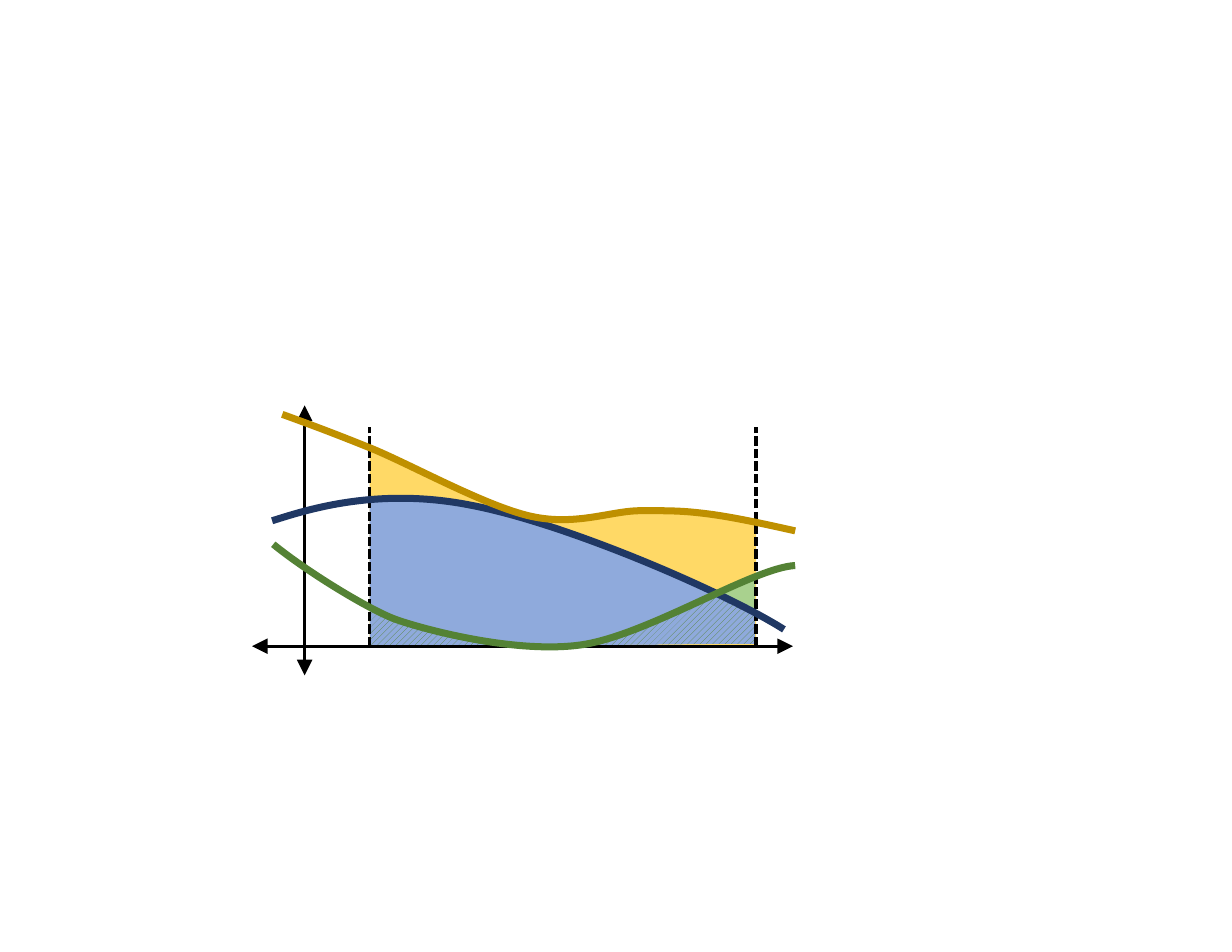
import dataclasses
import itertools
from typing import Optional

import lxml.etree
import pptx
import pptx.dml.color
import pptx.dml.line
import pptx.enum.dml
import pptx.enum.shapes
import pptx.oxml.ns
import pptx.util
from pptx.util import Inches

RGBColor = pptx.dml.color.RGBColor
Point = tuple[float, float]
Step = tuple[Point, ...]  # one point: straight; three points: cubic Bézier
Path = list[Step]  # the first step holds the starting point

BLACK = RGBColor(0x00, 0x00, 0x00)
GOLD = RGBColor(0xBF, 0x90, 0x00)
NAVY = RGBColor(0x20, 0x38, 0x64)
GREEN = RGBColor(0x54, 0x82, 0x35)
LIGHT_GOLD = RGBColor(0xFF, 0xD9, 0x66)
LIGHT_BLUE = RGBColor(0x8F, 0xAA, 0xDC)
LIGHT_GREEN = RGBColor(0xA9, 0xD1, 0x8E)

BOUND_SAMPLES = 50
AXIS_Y = 5.77
LOWER_BOUND, UPPER_BOUND = 3.3, 6.75

AXIS_FORMAT = {"width": pptx.util.Pt(2)}
BOUND_FORMAT = {
    "width": pptx.util.Pt(2),
    "dash_style": pptx.enum.dml.MSO_LINE.SQUARE_DOT,
}
CURVE_FORMAT = {"width": pptx.util.Pt(4.5)}
ARROW_FORMAT = {"type": "triangle", "w": "lg", "len": "lg"}


@dataclasses.dataclass
class Region:
    outline: Path
    color: RGBColor
    hatch: Optional[RGBColor] = None


@dataclasses.dataclass
class Curve:
    course: Path
    color: RGBColor


@dataclasses.dataclass
class Guide:
    start: Point
    end: Point
    line_format: dict
    arrows: bool


def straight(*points: Point) -> Path:
    return [(point,) for point in points]


def reverse(path: Path) -> Path:
    backward = [(path[-1][-1],)]
    for before, step in reversed(list(itertools.pairwise(path))):
        backward.append((*reversed(step[:-1]), before[-1]))
    return backward


def find_extent(path: Path) -> tuple[Point, Point]:
    """Top left and bottom right corners of the drawn path."""
    points = [step[-1] for step in path]
    for before, step in itertools.pairwise(path):
        if len(step) == 3:
            anchors = (before[-1], *step)
            for i in range(1, BOUND_SAMPLES):
                t = i / BOUND_SAMPLES
                weights = ((1 - t) ** 3, 3 * t * (1 - t) ** 2, 3 * t * t * (1 - t), t ** 3)
                points.append(tuple(
                    sum(w * anchor[axis] for w, anchor in zip(weights, anchors))
                    for axis in (0, 1)
                ))
    xs, ys = zip(*points)
    return (min(xs), min(ys)), (max(xs), max(ys))


def add_xml(parent, tag: str, **attributes: str):
    return lxml.etree.SubElement(parent, pptx.oxml.ns.qn(tag), attributes)


def format_line(line: pptx.dml.line.LineFormat, color: RGBColor, line_format: dict) -> None:
    line.color.rgb = color
    for name, value in line_format.items():
        setattr(line, name, value)


def draw_path(shapes, path: Path, close: bool):
    (left, top), (right, bottom) = find_extent(path)
    builder = shapes.build_freeform(Inches(left), Inches(top), scale=1.0)
    builder.add_line_segments([(Inches(right), Inches(bottom))], close=False)
    shape = builder.convert_to_shape()
    shape.shadow.inherit = False

    # The builder only knows straight segments, so the steps are written here
    path_xml = shape._element.find(".//" + pptx.oxml.ns.qn("a:path"))
    for segment in list(path_xml):
        path_xml.remove(segment)
    for index, step in enumerate(path):
        tag = "a:moveTo" if index == 0 else "a:lnTo" if len(step) == 1 else "a:cubicBezTo"
        segment = add_xml(path_xml, tag)
        for x, y in step:
            add_xml(segment, "a:pt", x=str(Inches(x - left)), y=str(Inches(y - top)))
    if close:
        add_xml(path_xml, "a:close")
    return shape


def draw_region(shapes, region: Region) -> None:
    shape = draw_path(shapes, region.outline, close=True)
    shape.line.fill.background()
    fill = shape.fill
    if region.hatch is None:
        fill.solid()
        fill.fore_color.rgb = region.color
    else:
        fill.patterned()
        fill.pattern = pptx.enum.dml.MSO_PATTERN.WIDE_UPWARD_DIAGONAL
        fill.fore_color.rgb = region.hatch
        fill.back_color.rgb = region.color


def draw_curve(shapes, curve: Curve) -> None:
    shape = draw_path(shapes, curve.course, close=False)
    shape.fill.background()
    format_line(shape.line, curve.color, CURVE_FORMAT)


def draw_guide(shapes, guide: Guide) -> None:
    connector = shapes.add_connector(
        pptx.enum.shapes.MSO_CONNECTOR.STRAIGHT,
        *map(Inches, guide.start + guide.end),
    )
    format_line(connector.line, BLACK, guide.line_format)
    if guide.arrows:
        for end in ("a:headEnd", "a:tailEnd"):
            add_xml(connector.line._get_or_add_ln(), end, **ARROW_FORMAT)
    add_xml(connector._element.spPr, "a:effectLst")


# Edges shared by several outlines
crossing = (6.38, 5.31)
gold_middle = [
    ((3.33, 4.01),),
    ((3.69, 4.16), (4.34, 4.52), (4.74, 4.61)),
    ((5.14, 4.7), (5.46, 4.56), (5.72, 4.56)),
    ((5.99, 4.56), (6.1, 4.56), (6.33, 4.59)),
]
green_left = [
    ((3.3, 5.44),),
    ((3.34, 5.46),),
    ((3.4, 5.48), (3.45, 5.5), (3.51, 5.52)),
    ((3.79, 5.61), (4.13, 5.71), (4.49, 5.75)),
    ((4.64, 5.76),),
]
green_right = [
    ((5.02, 5.76),),
    ((5.16, 5.75),),
    ((5.48, 5.7), (5.94, 5.5), (6.34, 5.33)),
    (crossing,),
]
blue_top = [
    ((3.3, 4.47),),
    ((3.39, 4.46),),
    ((3.47, 4.46), (3.56, 4.45), (3.65, 4.45)),
    ((3.82, 4.46), (4.01, 4.47), (4.2, 4.52)),
    ((4.69, 4.62), (5.52, 4.93), (6.18, 5.22)),
    (crossing,),
]
blue_tail = straight((6.45, 5.34), (6.74, 5.49))

regions = [
    # Under the gold curve
    Region(straight((LOWER_BOUND, 4)) + gold_middle + [((6.45, 4.61), (6.57, 4.63), (6.7, 4.66))]
           + straight((UPPER_BOUND, 4.67), (UPPER_BOUND, AXIS_Y), (LOWER_BOUND, AXIS_Y)),
           LIGHT_GOLD),
    # Under both the blue and green curves
    Region(green_right + blue_tail + straight((6.74, 5.75), (6.67, 5.75))
           + [((6.35, 5.75), (5.85, 5.76), (5.26, 5.76))], LIGHT_BLUE, GREEN),
    Region(green_left + straight((3.3, 5.76)), LIGHT_BLUE, GREEN),
    Region(straight((5.02, 5.76), (4.64, 5.76), (4.9, 5.77)), LIGHT_GOLD),
    # Between the blue and green curves
    Region(blue_top + reverse(green_right)[1:] + reverse(green_left) + straight((3.3, 5.76)),
           LIGHT_BLUE),
    Region(straight(crossing) + blue_tail[:0] + straight((6.5, 5.25), (6.74, 5.15))
           + reverse(blue_tail), LIGHT_GREEN),
    # Thin strips along the axis
    Region(straight((6.74, 5.75), (6.74, 5.77), (6.61, 5.77))
           + [((6.26, 5.77), (5.69, 5.77), (5.09, 5.76))] + straight((4.97, 5.76), (5.26, 5.76))
           + [((5.85, 5.76), (6.35, 5.75), (6.67, 5.75))], LIGHT_GOLD),
    Region(straight((3.3, 5.76), (4.39, 5.76), (4.12, 5.77), (3.3, 5.77)), LIGHT_GOLD),
    Region(straight((4.39, 5.76), (4.66, 5.76), (4.63, 5.77)), LIGHT_GOLD),
    Region(straight((4.66, 5.76), (4.97, 5.76), (4.93, 5.77), (4.71, 5.77)), LIGHT_GOLD),
]

guides = [
    Guide((2.25, AXIS_Y), (7.08, AXIS_Y), AXIS_FORMAT, True),
    Guide((2.72, 6.03), (2.72, 3.62), AXIS_FORMAT, True),
] + [Guide((x, AXIS_Y), (x, 3.81), BOUND_FORMAT, False) for x in (UPPER_BOUND, LOWER_BOUND)]

curves = [
    Curve([((2.43, 4.65),), ((2.69, 4.57), (3.34, 4.34), (4.2, 4.51)),
           ((5.05, 4.67), (6.48, 5.29), (7, 5.62))], NAVY),
    Curve([((2.44, 4.86),), ((2.76, 5.12), (3.31, 5.45), (3.53, 5.53)),
           ((3.75, 5.61), (4.58, 5.84), (5.18, 5.76)),
           ((5.77, 5.68), (6.72, 5.07), (7.1, 5.05))], GREEN),
    Curve([((2.52, 3.7),), ((2.74, 3.78), (2.96, 3.86), (3.33, 4.01)), *gold_middle[1:],
           ((6.56, 4.62), (6.83, 4.68), (7.1, 4.74))], GOLD),
]


def main() -> None:
    presentation = pptx.Presentation()
    presentation.slide_width = Inches(11)
    presentation.slide_height = Inches(8.5)
    shapes = presentation.slides.add_slide(presentation.slide_layouts[6]).shapes
    for draw, parts in ((draw_region, regions), (draw_guide, guides), (draw_curve, curves)):
        for part in parts:
            draw(shapes, part)
    presentation.save("out.pptx")


if __name__ == "__main__":
    main()
